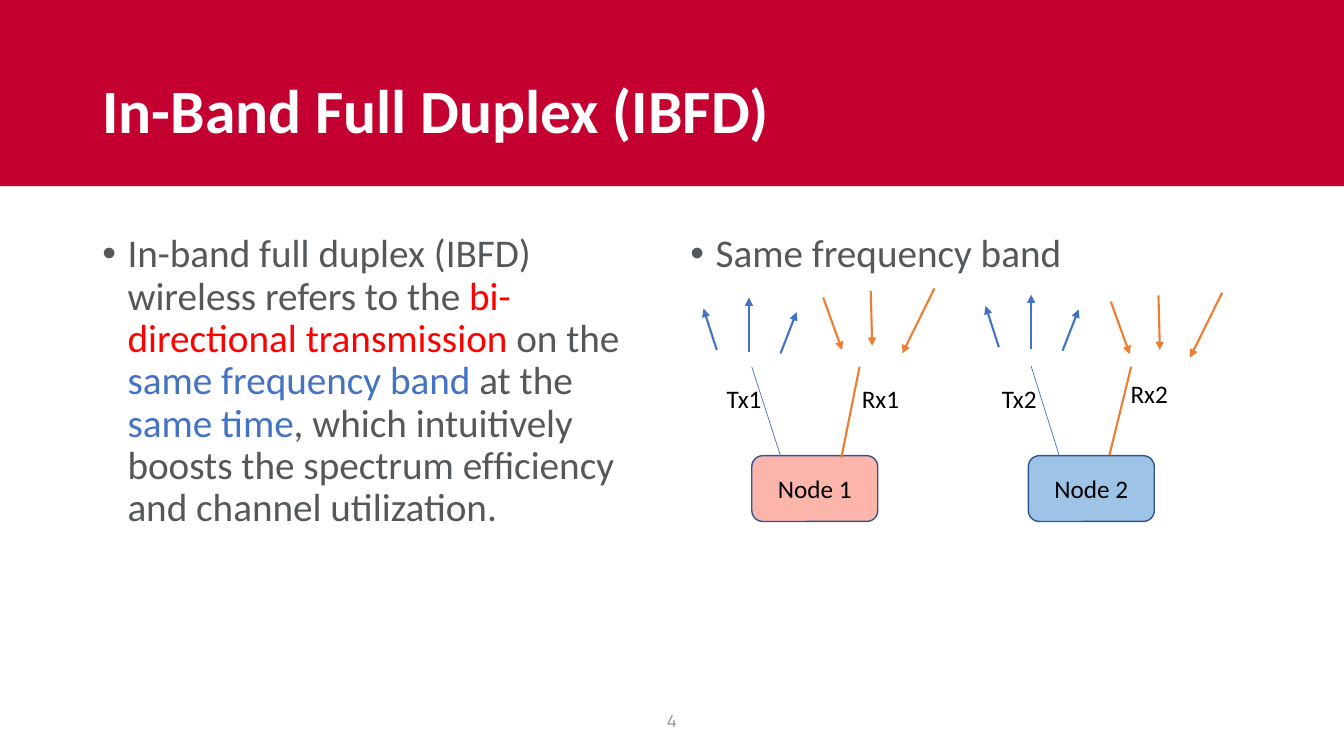
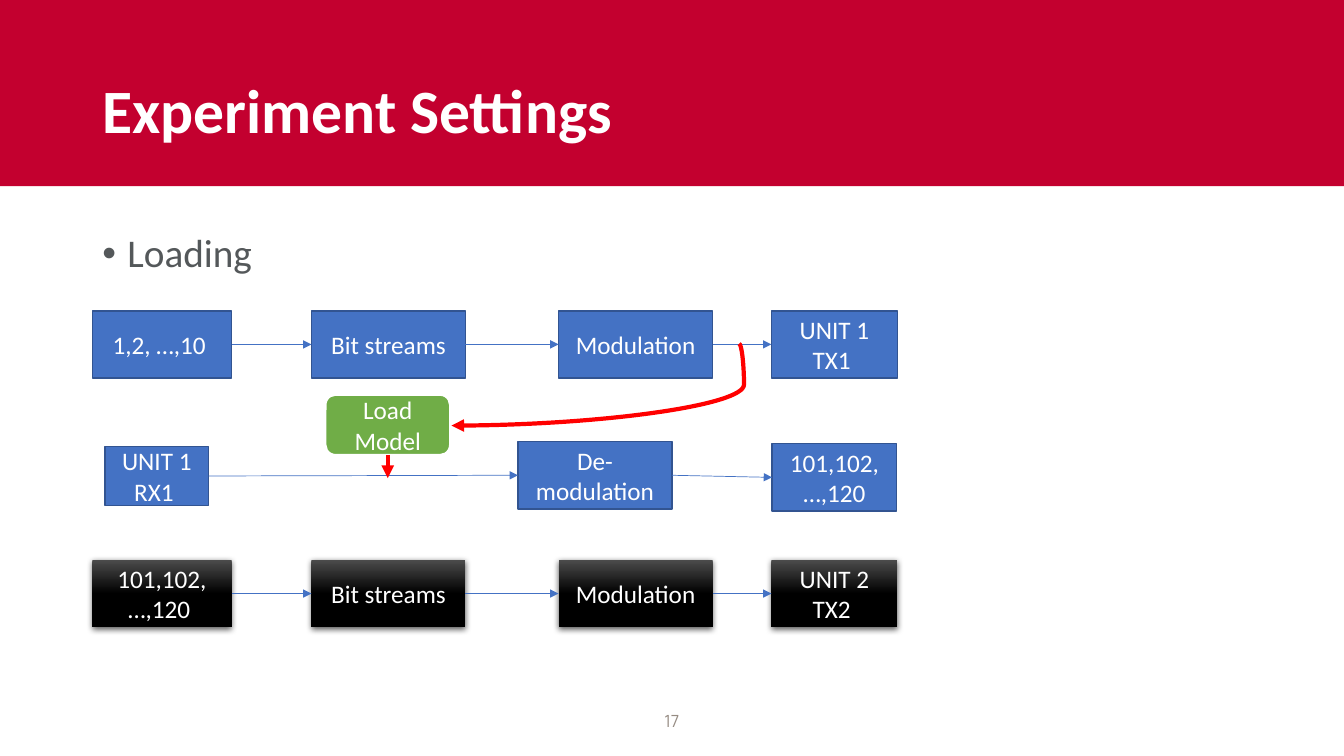
from pptx import Presentation
from pptx.dml.color import RGBColor
from pptx.enum import shapes, text
from pptx.oxml import parse_xml
from pptx.oxml.ns import nsdecls, qn
from pptx.util import Pt

RED, GREY, BLUE, ORANGE = "C3002F", "54585A", "4472C4", "ED7D31"
EDGE, BLACK, WHITE, ALERT = "325491", "000000", "FFFFFF", "FF0000"

TITLE = dict(size=44, bold=True, color=WHITE)
BODY = dict(size=28, color=GREY)
FOOT = dict(size=12, name="Manrope", color="968C83")
LABEL = dict(size=18, color=BLACK)
LIGHT = dict(size=18, color=WHITE)

RECT = shapes.MSO_SHAPE.RECTANGLE
ROUND = shapes.MSO_SHAPE.ROUNDED_RECTANGLE
MID, CENTER = text.MSO_ANCHOR.MIDDLE, text.PP_ALIGN.CENTER

DUPLEX = [
    ("In-band full duplex (IBFD) wireless refers to the ", GREY),
    ("bi-directional transmission", ALERT),
    (" on the ", GREY),
    ("same frequency band ", BLUE),
    ("at the ", GREY),
    ("same time", BLUE),
    (", which intuitively boosts the spectrum efﬁciency and channel utilization.", GREY),
]

# Rays as x1, y1, x2, y2; each node shifts them as a group
SENT = [(512, 250, 502.5, 220.5), (535, 251.5, 535, 212.5), (557.5, 252.5, 569, 223)]
HEARD = [(588, 212.5, 601.5, 250), (622, 208, 623, 247), (667.5, 206, 644.5, 252.5)]
NODES = [
    dict(name="Node 1", x=537, fill="FBB5AB", sent=(0, 0), heard=(0, 0),
         masts=[(557.5, 325.5, 537, 262), (601, 327, 614, 262)],
         tags=[("Tx1", 512, 270), ("Rx1", 608.5, 270)]),
    dict(name="Node 2", x=734.5, fill="9DC3E6", sent=(201.5, -2), heard=(205.5, 3),
         masts=[(756.5, 325, 736.5, 261.5), (792.5, 325, 808, 262)],
         tags=[("Tx2", 708.5, 270), ("Rx2", 800.5, 267)]),
]

COLS = [(66, 99.5), (222.5, 110), (399, 110), (551, 90)]
CHAINS = [
    (222, False, ["1,2, …,10 ", "Bit streams", "Modulation", "UNIT 1 TX1 "]),
    (400, True, ["101,102, …,120 ", "Bit streams", "Modulation", "UNIT 2 TX2 "]),
]
RECEIVE = [
    ("UNIT 1 RX1 ", (75, 319, 74, 42)),
    ("De-modulation", (370, 315.5, 110, 48)),
    ("101,102,…,120", (551.5, 317, 89, 48)),
]


def rgb(hue):
    return RGBColor.from_string(hue)


def style(run, size, color, name="Calibri", bold=False):
    for key, val in dict(size=Pt(size), name=name, bold=bold).items():
        setattr(run.font, key, val)
    run.font.color.rgb = rgb(color)


def write(shape, runs, fmt, anchor=text.MSO_ANCHOR.TOP, align=text.PP_ALIGN.LEFT):
    """Fill a shape with one paragraph: a string, or (text, colour) pairs."""
    frame = shape.text_frame
    frame.word_wrap, frame.vertical_anchor = True, anchor
    para = frame.paragraphs[0]
    para.alignment = align
    if isinstance(runs, str):
        runs = [(runs, fmt["color"])]
    for words, hue in runs:
        run = para.add_run()
        run.text = words
        style(run, **{**fmt, "color": hue})
    return para


def label(slide, box, runs, fmt, **place):
    return write(slide.shapes.add_textbox(*map(Pt, box)), runs, fmt, **place)


def bullet(slide, box, runs):
    para = label(slide, box, runs, BODY)
    para.line_spacing = 0.9
    props = para._p.get_or_add_pPr()
    props.set("marL", str(Pt(18)))
    props.set("indent", str(-Pt(18)))
    for tag in ('a:buFont %s typeface="Arial"', 'a:buChar %s char="•"'):
        props.append(parse_xml(f"<{tag % nsdecls('a')}/>"))


def block(slide, kind, box, fill, line=None, width=1):
    shape = slide.shapes.add_shape(kind, *map(Pt, box))
    shape.shadow.inherit = False
    shape.fill.solid()
    shape.fill.fore_color.rgb = rgb(fill)
    if line:
        shape.line.color.rgb = rgb(line)
        shape.line.width = Pt(width)
    else:
        shape.line.fill.background()
    return shape


def node(slide, kind, box, words, fill, line=EDGE, width=1, fmt=LIGHT):
    shape = block(slide, kind, box, fill, line, width)
    write(shape, words, fmt, MID, CENTER)
    return shape


def gloss(shape):
    """Give a dark box its vertical fade and soft shadow."""
    shape.fill.gradient()
    shape.fill.gradient_angle = 270
    for stop, spot, hue in zip(shape.fill.gradient_stops, (0, 0.5), ("4B4B4B", BLACK)):
        stop.position, stop.color.rgb = spot, rgb(hue)
    shape._element.spPr.find(qn("a:effectLst")).append(parse_xml(
        f'<a:outerShdw {nsdecls("a")} blurRad="{Pt(4.5)}" dist="{Pt(1.5)}" '
        f'dir="5400000" algn="ctr" rotWithShape="0"><a:srgbClr val="{BLACK}">'
        '<a:alpha val="63000"/></a:srgbClr></a:outerShdw>'))


def wire(slide, ends, hue, width, head=True, kind=shapes.MSO_CONNECTOR.STRAIGHT):
    link = slide.shapes.add_connector(kind, *map(Pt, ends))
    link.line.color.rgb = rgb(hue)
    link.line.width = Pt(width)
    if head:
        link.line._get_or_add_ln().append(
            parse_xml(f'<a:tailEnd {nsdecls("a")} type="triangle"/>'))
    link._element.spPr.append(parse_xml(f'<a:effectLst {nsdecls("a")}/>'))
    return link


def join(slide, boxes):
    for left, right in zip(boxes, boxes[1:]):
        link = wire(slide, (0, 0, 9, 9), BLUE, 0.5)
        link.begin_connect(left, 3)
        link.end_connect(right, 1)


def start(deck, title, number):
    slide = deck.slides.add_slide(deck.slide_layouts[6])
    block(slide, RECT, (0, -1.5, 960, 134.5), RED)
    label(slide, (66, 29, 828, 104), title, TITLE, anchor=MID).line_spacing = 0.9
    label(slide, (372, 500.5, 216, 29), number, FOOT, anchor=MID, align=CENTER)
    return slide


def duplex(deck):
    slide = start(deck, "In-Band Full Duplex (IBFD)", "4")
    bullet(slide, (66, 163.5, 408, 324), DUPLEX)
    bullet(slide, (486, 163.5, 408, 324), "Same frequency band")
    for unit in NODES:
        node(slide, ROUND, (unit["x"], 325.5, 90, 47), unit["name"], unit["fill"], fmt=LABEL)
        for ends, hue, width in zip(unit["masts"], (BLUE, ORANGE), (0.5, 1.5)):
            wire(slide, ends, hue, width, head=False)
        for words, x, y in unit["tags"]:
            label(slide, (x, y, 64, 29), words, LABEL)
        for rays, (dx, dy), hue in ((SENT, unit["sent"], BLUE), (HEARD, unit["heard"], ORANGE)):
            for x1, y1, x2, y2 in rays:
                wire(slide, (x1 + dx, y1 + dy, x2 + dx, y2 + dy), hue, 1.5)


def setup(deck):
    slide = start(deck, "Experiment Settings", "17")
    bullet(slide, (66, 163.5, 828, 324), "Loading")
    for top, dark, names in CHAINS:
        boxes = [node(slide, RECT, (x, top, w, 48), words, BLACK if dark else BLUE,
                      None if dark else EDGE)
                 for (x, w), words in zip(COLS, names)]
        if dark:
            for box in boxes:
                gloss(box)
        join(slide, boxes)
    join(slide, [node(slide, RECT, box, words, BLUE) for words, box in RECEIVE])

    model = node(slide, ROUND, (232.5, 282, 89, 43), "Load Model", "70AD47", WHITE, 1.5)
    curve = wire(slide, (528, 245.5, 322.5, 304), ALERT, 3, kind=shapes.MSO_CONNECTOR.CURVE)
    bend = curve._element.spPr.find(qn("a:prstGeom")).get_or_add_avLst()
    bend.append(parse_xml(f'<a:gd {nsdecls("a")} name="adj1" fmla="val -1700"/>'))
    wire(slide, (277, 325, 277, 341.5), ALERT, 3).begin_connect(model, 2)


def main():
    deck = Presentation()
    deck.slide_width, deck.slide_height = Pt(960), Pt(540)
    duplex(deck)
    setup(deck)
    deck.save("out.pptx")


if __name__ == "__main__":
    main()
